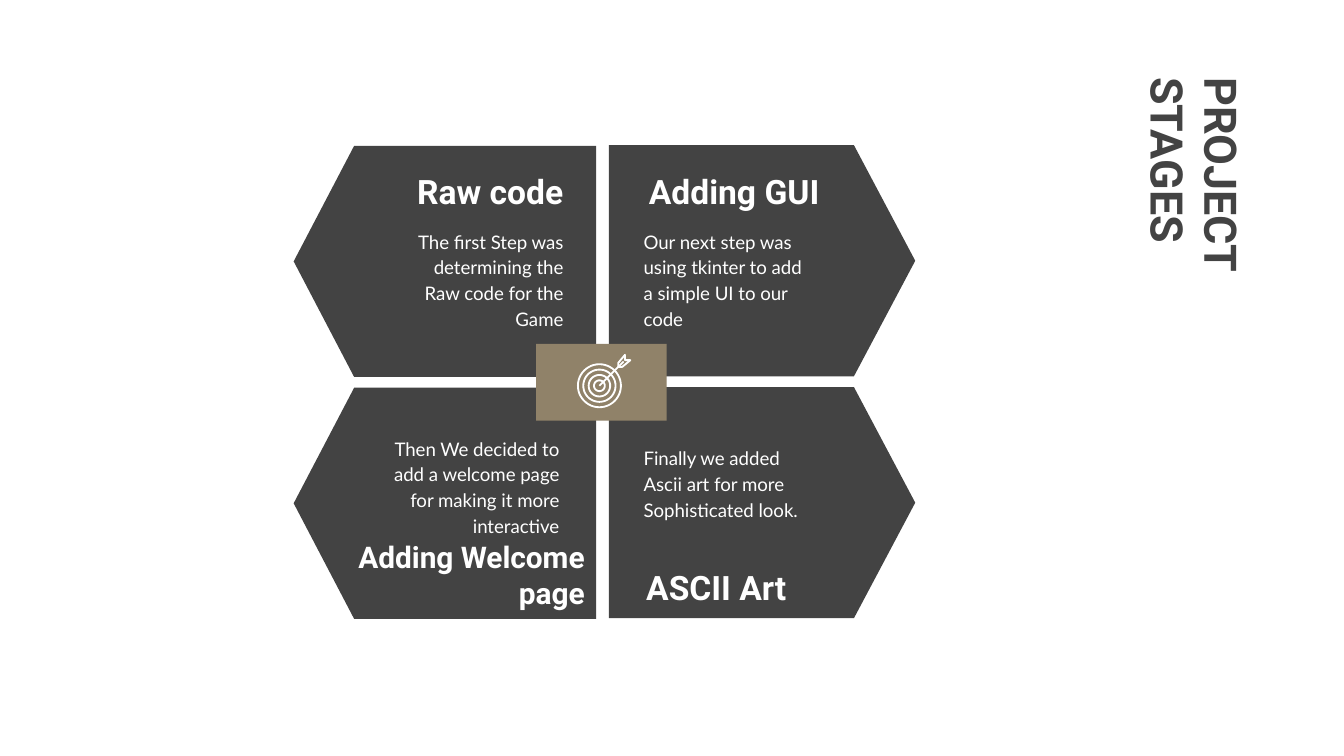
from math import cos, pi, sin

from pptx import Presentation
from pptx.dml.color import RGBColor
from pptx.enum import shapes, text
from pptx.util import Inches, Pt

DARK, GOLD, WHITE = "434343", "908269", "FFFFFF"
LEFT, RIGHT = text.PP_ALIGN.LEFT, text.PP_ALIGN.RIGHT


def rgb(value):
    return RGBColor.from_string(value)


def write(box, words, size=18, font="Roboto", color=WHITE, bold=True, align=LEFT, spacing=1.0, after=0):
    frame = box.text_frame
    frame.word_wrap = True
    frame.auto_size = text.MSO_AUTO_SIZE.NONE
    frame.vertical_anchor = text.MSO_ANCHOR.TOP
    frame.margin_left = frame.margin_right = Inches(0.1)
    frame.margin_top = frame.margin_bottom = Inches(0.1)
    paragraph = frame.paragraphs[0]
    paragraph.alignment = align
    paragraph.line_spacing = spacing
    paragraph.space_after = Pt(after)
    run = paragraph.add_run()
    run.text = words
    run.font.size = Pt(size)
    run.font.name = font
    run.font.bold = bold
    run.font.color.rgb = rgb(color)


prs = Presentation()
prs.slide_width = Inches(10)
prs.slide_height = Inches(10 * 9 / 16)
slide = prs.slides.add_slide(prs.slide_layouts[5])

title = slide.shapes.title
title.left, title.top, title.width, title.height = Inches(7.75), Inches(1.59), Inches(2.76), Inches(0.53)
title.rotation = 90
write(title, "PROJECT STAGES", size=24, color=DARK)

for left, top, length, rotation in [
    (2.45, 0.82, 2.25, 90),
    (2.45, 2.62, 2.25, 90),
    (4.81, 0.8, 2.28, 270),
    (4.81, 2.6, 2.28, 270),
]:
    panel = slide.shapes.add_shape(
        shapes.MSO_SHAPE.FLOWCHART_OFFPAGE_CONNECTOR, Inches(left), Inches(top), Inches(1.72), Inches(length)
    )
    panel.rotation = rotation
    panel.shadow.inherit = False
    panel.fill.solid()
    panel.fill.fore_color.rgb = rgb(DARK)
    panel.line.fill.background()

for heading, left, top, width, height, size, align in [
    ("Raw code", 2.84, 1.17, 1.45, 0.42, 18, RIGHT),
    ("Adding GUI", 4.73, 1.17, 1.6, 0.42, 18, LEFT),
    ("Adding Welcome page", 2.5, 3.91, 1.95, 0.64, 16, RIGHT),
    ("ASCII Art", 4.71, 4.12, 1.37, 0.42, 18, LEFT),
]:
    stage = slide.shapes.add_textbox(Inches(left), Inches(top), Inches(width), Inches(height))
    write(stage, heading, size=size, align=align)

for description, left, top, align in [
    ("The first Step was determining the Raw code for the Game", 2.84, 1.59, RIGHT),
    ("Our next step was using tkinter to add a simple UI to our code", 4.69, 1.59, LEFT),
    ("Then We decided to add a welcome page for making it more interactive", 2.81, 3.13, RIGHT),
    ("Finally we added Ascii art for more Sophisticated look.", 4.69, 3.2, LEFT),
]:
    detail = slide.shapes.add_textbox(Inches(left), Inches(top), Inches(1.45), Inches(0.82))
    write(detail, description, size=10, font="Lato", bold=False, align=align, spacing=1.15, after=16)

badge = slide.shapes.add_shape(shapes.MSO_SHAPE.RECTANGLE, Inches(3.99), Inches(2.56), Inches(0.97), Inches(0.57))
badge.shadow.inherit = False
badge.fill.solid()
badge.fill.fore_color.rgb = rgb(GOLD)
badge.line.fill.background()

target_x, target_y = 4.46, 2.87
shaft = [(target_x, target_y), (4.64, 2.69)]
feather = [(4.6, 2.7), (4.65, 2.64), (4.65, 2.68), (4.69, 2.68), (4.63, 2.73), (4.6, 2.73), (4.6, 2.7)]
rings = [
    [(target_x + radius * cos(step * pi / 24), target_y + radius * sin(step * pi / 24)) for step in range(49)]
    for radius in (0.16, 0.12, 0.08, 0.04)
]
outline = slide.shapes.build_freeform(Inches(target_x), Inches(target_y))
for contour in [shaft, feather] + rings:
    points = [(Inches(x), Inches(y)) for x, y in contour]
    if contour is not shaft:
        outline.move_to(*points[0])
    outline.add_line_segments(points[1:], close=False)
target = outline.convert_to_shape()
target.shadow.inherit = False
target.fill.background()
target.line.color.rgb = rgb(WHITE)
target.line.width = Pt(1)

prs.save("out.pptx")
